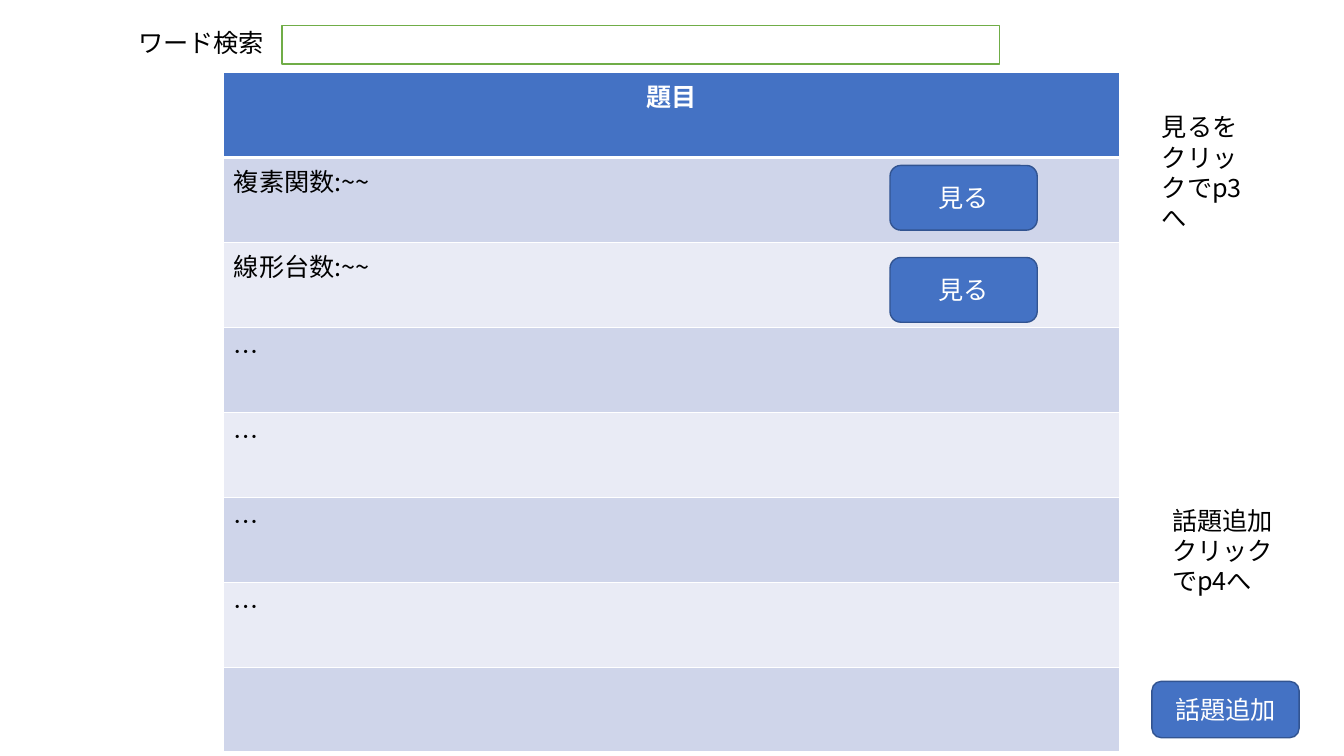
from lxml import etree
from pptx import Presentation
from pptx import util as u
from pptx.dml.color import RGBColor
from pptx.enum import shapes, text
from pptx.oxml import ns

Cm, Pt = u.Cm, u.Pt
FONT = "Noto Sans CJK JP"
COLOURS = {
    "white": "FFFFFF",
    "black": "000000",
    "blue": "4472C4",
    "dark blue": "325491",
    "green": "70AD47",
    "band dark": "CFD5EA",
    "band light": "E9EBF5",
}
TOPICS = ["題目", "複素関数:~~", "線形台数:~~", "…", "…", "…", "…", ""]
ROW_HEIGHT = 2.14


def colour(name):
    return RGBColor.from_string(COLOURS[name])


def paint(fill, name):
    fill.solid()
    fill.fore_color.rgb = colour(name)


def write(text_frame, wording, colour_name, bold=False, align=None):
    text_frame.text = wording
    paragraph = text_frame.paragraphs[0]
    paragraph.alignment = align
    for run in paragraph.runs:
        font = run.font
        font.name, font.size, font.bold = FONT, Pt(18), bold
        font.color.rgb = colour(colour_name)
        # East Asian glyphs need their own typeface entry
        east_asian = etree.SubElement(run._r.get_or_add_rPr(), ns.qn("a:ea"))
        east_asian.set("typeface", FONT)


def add_box(slide, kind, left, top, width, height, fill, line):
    shape = slide.shapes.add_shape(kind, Cm(left), Cm(top), Cm(width), Cm(height))
    shape.shadow.inherit = False
    paint(shape.fill, fill)
    shape.line.color.rgb = colour(line)
    shape.line.width = Pt(1)
    return shape


def add_button(slide, left, top, height, wording):
    button = add_box(slide, shapes.MSO_SHAPE.ROUNDED_RECTANGLE,
                     left, top, 3.71, height, "blue", "dark blue")
    button.text_frame.vertical_anchor = text.MSO_ANCHOR.MIDDLE
    write(button.text_frame, wording, "white", align=text.PP_ALIGN.CENTER)


def add_note(slide, left, top, width, height, wording):
    note = slide.shapes.add_textbox(Cm(left), Cm(top), Cm(width), Cm(height))
    note.text_frame.word_wrap = True
    note.text_frame.auto_size = text.MSO_AUTO_SIZE.SHAPE_TO_FIT_TEXT
    write(note.text_frame, wording, "black")


def set_borders(cell, widths):
    properties = cell._tc.get_or_add_tcPr()
    for side, width in zip("LRTB", widths):
        line = etree.SubElement(properties, ns.qn("a:ln" + side), w=str(Pt(width)))
        fill = etree.SubElement(line, ns.qn("a:solidFill"))
        etree.SubElement(fill, ns.qn("a:srgbClr"), val=COLOURS["white"])


def add_topic_table(slide):
    frame = slide.shapes.add_table(len(TOPICS), 1, Cm(5.64), Cm(1.83),
                                   Cm(22.58), Cm(ROW_HEIGHT * len(TOPICS)))
    table = frame.table
    for index, topic in enumerate(TOPICS):
        table.rows[index].height = Cm(ROW_HEIGHT)
        cell = table.cell(index, 0)
        # The rule under the header is thicker than the others
        set_borders(cell, (1, 1, 3 if index == 1 else 1, 3 if index == 0 else 1))
        if index == 0:
            paint(cell.fill, "blue")
            write(cell.text_frame, topic, "white", True, text.PP_ALIGN.CENTER)
        else:
            paint(cell.fill, "band dark" if index % 2 else "band light")
            write(cell.text_frame, topic, "black")


def main():
    presentation = Presentation()
    presentation.slide_width, presentation.slide_height = Cm(33.87), Cm(19.05)
    slide = presentation.slides.add_slide(presentation.slide_layouts[6])

    # Topic list with its buttons
    add_topic_table(slide)
    add_button(slide, 29.03, 17.17, 1.42, "話題追加")
    for index in range(2):
        add_button(slide, 22.43, 4.17 + 2.32 * index, 1.63, "見る")

    # Search field
    add_box(slide, shapes.MSO_SHAPE.RECTANGLE,
            7.11, 0.64, 18.08, 0.97, "white", "green")
    add_note(slide, 3.23, 0.56, 4.34, 1.02, "ワード検索")

    # Navigation notes
    add_note(slide, 29.03, 2.69, 2.82, 3.33, "見るをクリックでp3へ")
    add_note(slide, 29.29, 12.6, 3.12, 2.57, "話題追加クリックでp4へ")

    presentation.save("out.pptx")


if __name__ == "__main__":
    main()
